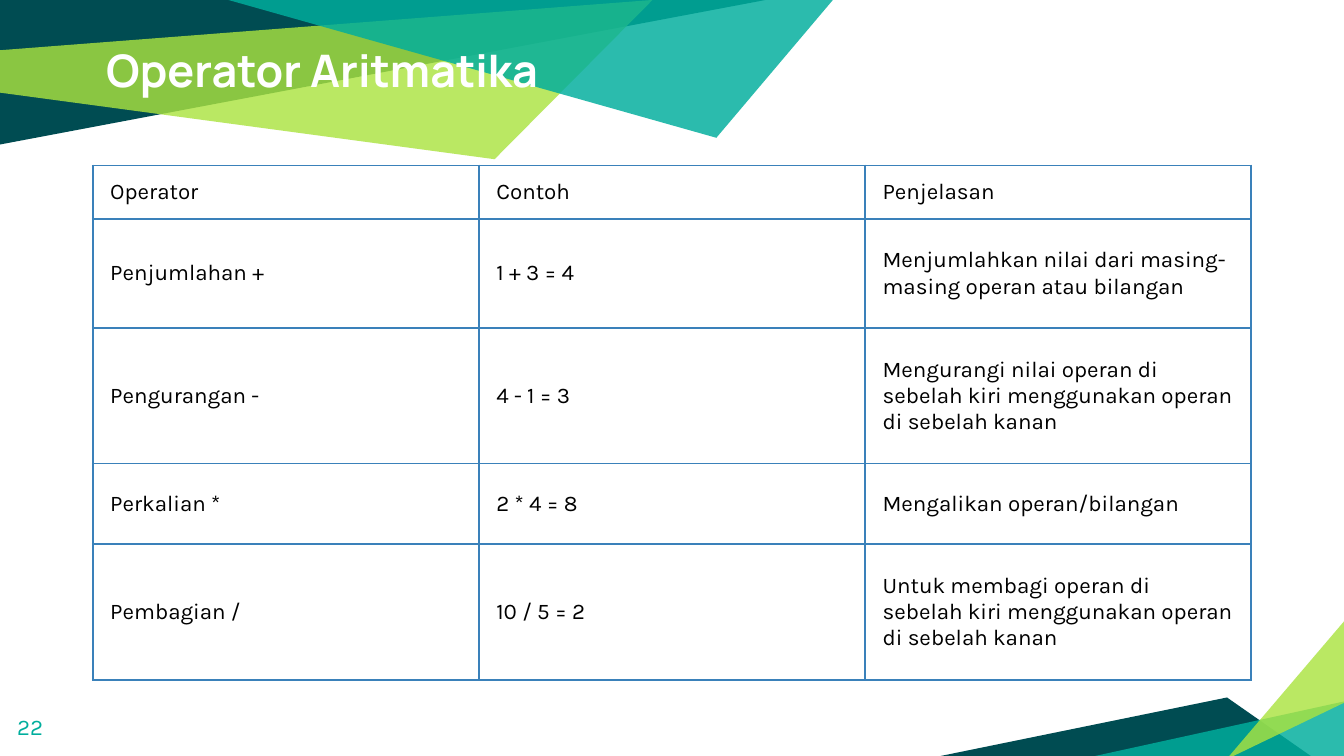
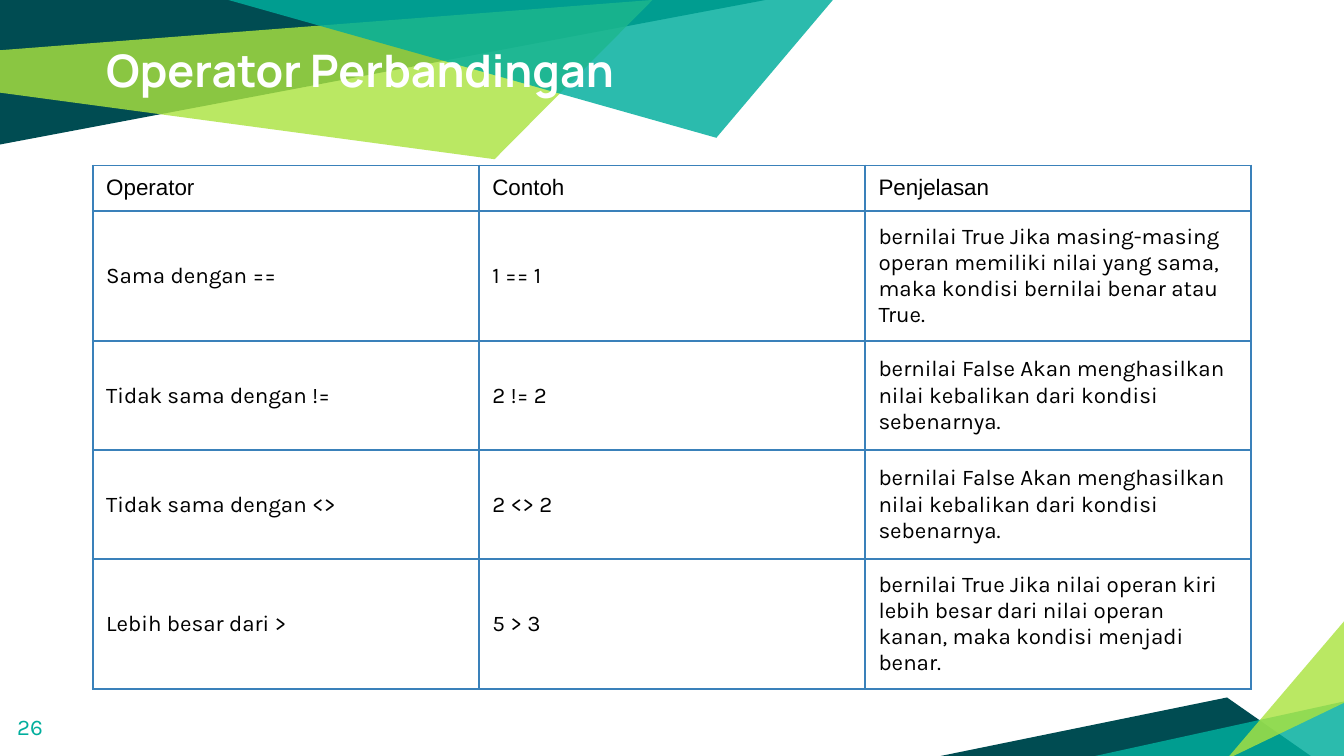
from dataclasses import dataclass

from lxml import etree
from pptx import Presentation
from pptx import util as u
from pptx.dml.color import RGBColor
from pptx.enum import shapes, text
from pptx.oxml import ns

PX = 4572
COLORS = {
    "white": "FFFFFF",
    "black": "000000",
    "petrol": "004C52",
    "lime": "ABE33F",
    "teal": "00AE9D",
    "border": "3A81BA",
}
HEADINGS = ("Operator", "Contoh", "Penjelasan")
LEFT, WIDTH = 138, 1724


@dataclass(frozen=True)
class Shard:
    color: str
    opacity: int
    points: tuple[tuple[int, int], ...]


@dataclass(frozen=True)
class OperatorPage:
    number: int
    title: str
    heading_font: str
    margins: tuple[int, int]
    row_heights: tuple[int, ...]
    operators: tuple[tuple[str, str, str], ...]


SHARDS = (
    Shard("petrol", 100, ((0, 0), (0, 215), (1139, 0))),
    Shard("lime", 81, ((-2, 75), (0, 138), (736, 237), (971, 0))),
    Shard("petrol", 100, ((1395, 1126), (1952, 1126), (1826, 1038))),
    Shard("teal", 83, ((2004, 1043), (2004, 1130), (1607, 1130))),
    Shard("lime", 81, ((2004, 1044), (2004, 920), (1825, 1130))),
    Shard("teal", 83, ((340, 0), (1066, 205), (1241, -2), (1218, 0))),
)

PAGES = (
    OperatorPage(
        22, "Operator Aritmatika", "Karla", (26, 18), (80, 162, 202, 120, 202),
        (
            ("Penjumlahan +", "1 + 3 = 4",
             "Menjumlahkan nilai dari masing-masing operan atau bilangan"),
            ("Pengurangan -", "4 - 1 = 3",
             "Mengurangi nilai operan di sebelah kiri menggunakan operan di sebelah kanan"),
            ("Perkalian *", "2 * 4 = 8", "Mengalikan operan/bilangan"),
            ("Pembagian /", "10 / 5 = 2",
             "Untuk membagi operan di sebelah kiri menggunakan operan di sebelah kanan"),
        ),
    ),
    OperatorPage(
        26, "Operator Perbandingan", "Arial", (20, 14), (62, 194, 162, 162, 194),
        (
            ("Sama dengan ==", "1 == 1",
             "bernilai True Jika masing-masing operan memiliki nilai yang sama, "
             "maka kondisi bernilai benar atau True."),
            ("Tidak sama dengan !=", "2 != 2",
             "bernilai False Akan menghasilkan nilai kebalikan dari kondisi sebenarnya."),
            ("Tidak sama dengan <>", "2 <> 2",
             "bernilai False Akan menghasilkan nilai kebalikan dari kondisi sebenarnya."),
            ("Lebih besar dari >", "5 > 3",
             "bernilai True Jika nilai operan kiri lebih besar dari nilai operan kanan, "
             "maka kondisi menjadi benar."),
        ),
    ),
)


def px(length: int) -> u.Emu:
    return u.Emu(length * PX)


def rgb(color: str) -> RGBColor:
    return RGBColor.from_string(COLORS[color])


def write(frame, wording: str, *, size: int = 12, font: str = "Karla",
          color: str = "black", bold: bool = False,
          margins: tuple[int, int] = (20, 10)) -> None:
    frame.margin_left = frame.margin_right = px(margins[0])
    frame.margin_top = frame.margin_bottom = px(margins[1])
    frame.vertical_anchor = text.MSO_ANCHOR.MIDDLE
    frame.word_wrap = True
    paragraph = frame.paragraphs[0]
    paragraph.alignment = text.PP_ALIGN.LEFT
    run = paragraph.add_run()
    run.text = wording
    run.font.size = u.Pt(size)
    run.font.name = font
    run.font.bold = bold
    run.font.color.rgb = rgb(color)


def draw_shard(slide, shard: Shard):
    builder = slide.shapes.build_freeform(*shard.points[0], scale=PX)
    builder.add_line_segments(shard.points[1:], close=True)
    facet = builder.convert_to_shape()
    facet.shadow.inherit = False
    facet.line.fill.background()
    facet.fill.solid()
    facet.fill.fore_color.rgb = rgb(shard.color)
    if shard.opacity < 100:
        tint = facet.element.spPr.find(ns.qn("a:solidFill"))[0]
        etree.SubElement(tint, ns.qn("a:alpha"), val=str(shard.opacity * 1000))
    return facet


def decorate_layout(layout, slide) -> None:
    for placeholder in list(layout.placeholders):
        if placeholder.placeholder_format.type != shapes.PP_PLACEHOLDER.TITLE:
            layout.shapes.element.remove(placeholder.element)
    for facet in [draw_shard(slide, shard) for shard in SHARDS]:
        layout.shapes.element.append(facet.element)


def outline_cell(cell) -> None:
    properties = cell._tc.get_or_add_tcPr()
    for position, side in enumerate(("lnL", "lnR", "lnT", "lnB")):
        edge = etree.Element(ns.qn(f"a:{side}"), w=str(u.Pt(1)))
        fill = etree.SubElement(edge, ns.qn("a:solidFill"))
        etree.SubElement(fill, ns.qn("a:srgbClr"), val=COLORS["border"])
        properties.insert(position, edge)


def draw_operators(slide, page: OperatorPage) -> None:
    rows = (HEADINGS, *page.operators)
    table = slide.shapes.add_table(
        len(rows), len(HEADINGS), px(LEFT), px(246), px(WIDTH),
        px(sum(page.row_heights))).table
    table.first_row = table.horz_banding = False
    for row, height in zip(table.rows, page.row_heights):
        row.height = px(height)
    for r, entries in enumerate(rows):
        for c, entry in enumerate(entries):
            cell = table.cell(r, c)
            cell.fill.background()
            cell.margin_left = cell.margin_right = px(page.margins[0])
            cell.margin_top = cell.margin_bottom = px(page.margins[1])
            cell.vertical_anchor = text.MSO_ANCHOR.MIDDLE
            write_cell(cell, entry, page.heading_font if r == 0 else "Karla")
            outline_cell(cell)


def write_cell(cell, entry: str, font: str) -> None:
    run = cell.text_frame.paragraphs[0].add_run()
    run.text = entry
    run.font.size = u.Pt(12)
    run.font.name = font
    run.font.bold = False
    run.font.color.rgb = rgb("black")


def fill_page(slide, page: OperatorPage) -> None:
    number = slide.shapes.add_textbox(px(6), px(1038), px(120), px(86))
    write(number.text_frame, str(page.number), color="teal", margins=(20, 20))
    title = slide.shapes.title
    title.left, title.top, title.width, title.height = map(px, (LEFT, 54, WIDTH, 100))
    write(title.text_frame, page.title, size=24, font="Manrope", color="white", bold=True)
    title.text_frame.auto_size = text.MSO_AUTO_SIZE.SHAPE_TO_FIT_TEXT
    draw_operators(slide, page)


def main() -> None:
    deck = Presentation()
    deck.slide_width, deck.slide_height = px(2000), px(1125)
    layout = deck.slide_layouts.get_by_name("Title Only")
    slides = [deck.slides.add_slide(layout) for _ in PAGES]
    decorate_layout(layout, slides[0])
    for slide, page in zip(slides, PAGES):
        fill_page(slide, page)
    deck.save("out.pptx")


if __name__ == "__main__":
    main()
